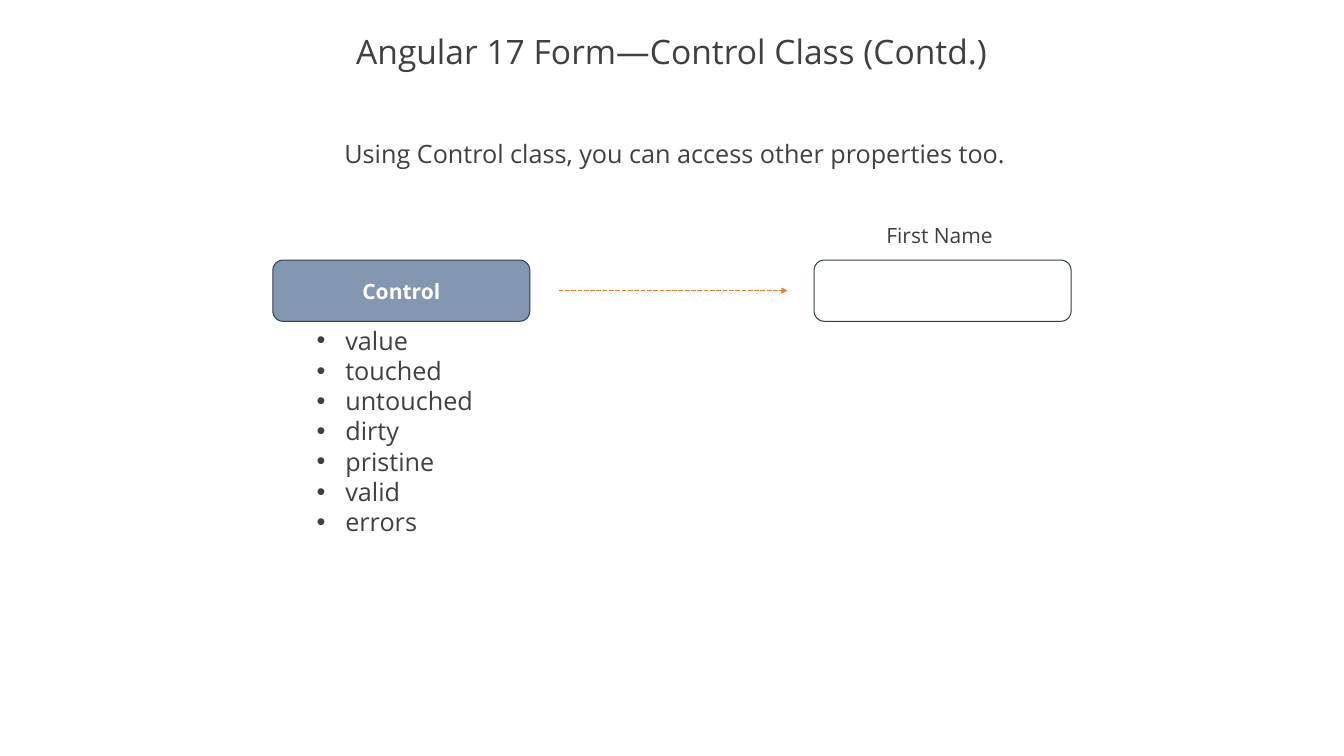
from pptx import Presentation
from pptx.dml.color import RGBColor
from pptx.enum.dml import MSO_LINE
from pptx.enum.shapes import MSO_CONNECTOR, MSO_SHAPE
from pptx.enum.text import MSO_ANCHOR, MSO_AUTO_SIZE, PP_ALIGN
from pptx.oxml.ns import qn
from pptx.util import Inches, Pt
from lxml import etree

ROUNDED = MSO_SHAPE.ROUNDED_RECTANGLE
STRAIGHT = MSO_CONNECTOR.STRAIGHT
SYS_DASH = MSO_LINE.SQUARE_DOT
MIDDLE, TOP = MSO_ANCHOR.MIDDLE, MSO_ANCHOR.TOP
GROW, NO_FIT = MSO_AUTO_SIZE.SHAPE_TO_FIT_TEXT, MSO_AUTO_SIZE.NONE
CENTER, LEFT = PP_ALIGN.CENTER, PP_ALIGN.LEFT

FONT = "Open Sans"
TEXT, WHITE = "404040", "FFFFFF"
BOX_FILL, BOX_LINE, ARROW = "8497B0", "333F50", "ED7D31"
SLIDE_W, SLIDE_H = 17.78, 10
PROPERTIES = ["value", "touched", "untouched", "dirty", "pristine", "valid", "errors"]


def rgb(color):
    return RGBColor.from_string(color)


def write(shape, lines, size, color=TEXT, bold=False, align=CENTER, anchor=TOP, bullet_indent=None):
    tf = shape.text_frame
    tf.word_wrap = True
    tf.vertical_anchor = anchor
    tf.text = "\n".join(lines)
    for p in tf.paragraphs:
        p.alignment = align
        if bullet_indent:
            pPr = p._p.get_or_add_pPr()
            pPr.set("marL", str(Inches(bullet_indent)))
            pPr.set("indent", str(-Inches(bullet_indent)))
            etree.SubElement(pPr, qn("a:buFont")).set("typeface", "Arial")
            etree.SubElement(pPr, qn("a:buChar")).set("char", "•")
        for r in p.runs:
            r.font.name = FONT
            r.font.size = Pt(size)
            r.font.bold = bold
            r.font.color.rgb = rgb(color)
    return tf


def add_text(shapes, x, y, w, h, lines, size, **style):
    sp = shapes.add_textbox(Inches(x), Inches(y), Inches(w), Inches(h))
    write(sp, lines, size, **style).auto_size = GROW


def add_title(slide, x, y, w, h, text):
    title = slide.shapes.title
    title.left, title.top, title.width, title.height = map(Inches, (x, y, w, h))
    tf = write(title, [text], 32, anchor=MIDDLE)
    tf.auto_size = NO_FIT
    tf.paragraphs[0].line_spacing = 0.9


def add_box(shapes, x, y, w, h, fill=None):
    sp = shapes.add_shape(ROUNDED, Inches(x), Inches(y), Inches(w), Inches(h))
    sp.shadow.inherit = False
    if fill:
        sp.fill.solid()
        sp.fill.fore_color.rgb = rgb(fill)
    else:
        sp.fill.background()
    sp.line.color.rgb = rgb(BOX_LINE)
    sp.line.width = Pt(1)
    return sp


def add_arrow(shapes, x1, x2, y):
    line = shapes.add_connector(STRAIGHT, Inches(x1), Inches(y), Inches(x2), Inches(y))
    line.line.color.rgb = rgb(ARROW)
    line.line.width = Pt(1.5)
    line.line.dash_style = SYS_DASH
    etree.SubElement(line.line._get_or_add_ln(), qn("a:tailEnd")).set("type", "triangle")
    etree.SubElement(line._element.spPr, qn("a:effectLst"))


def add_control_diagram(slide, x, y, w, h):
    """Control box with an arrow to the labelled input field."""
    shapes = slide.shapes.add_group_shape().shapes
    box_w, box_h = 3.4, 0.81
    box_y = y + h - box_h
    field_x = x + w - box_w
    control = add_box(shapes, x, box_y, box_w, box_h, BOX_FILL)
    write(control, ["Control"], 20, color=WHITE, bold=True, anchor=MIDDLE)
    add_arrow(shapes, x + box_w + 0.38, field_x - 0.35, box_y + box_h / 2)
    add_box(shapes, field_x, box_y, box_w, box_h)
    add_text(shapes, field_x + 0.38, y, 2.56, 0.44, ["First Name"], 20)


def main():
    prs = Presentation()
    prs.slide_width, prs.slide_height = Inches(SLIDE_W), Inches(SLIDE_H)
    slide = prs.slides.add_slide(prs.slide_layouts[5])
    add_title(slide, 0, 0.35, SLIDE_W, 0.73, "Angular 17 Form—Control Class (Contd.)")
    add_text(slide.shapes, 4.22, 1.78, 9.41, 0.5,
             ["Using Control class, you can access other properties too."], 24)
    add_control_diagram(slide, 3.61, 2.9, 10.56, 1.35)
    add_text(slide.shapes, 4.09, 4.25, 2.45, 2.93, PROPERTIES, 24,
             align=LEFT, bullet_indent=0.38)
    prs.save("out.pptx")


if __name__ == "__main__":
    main()
